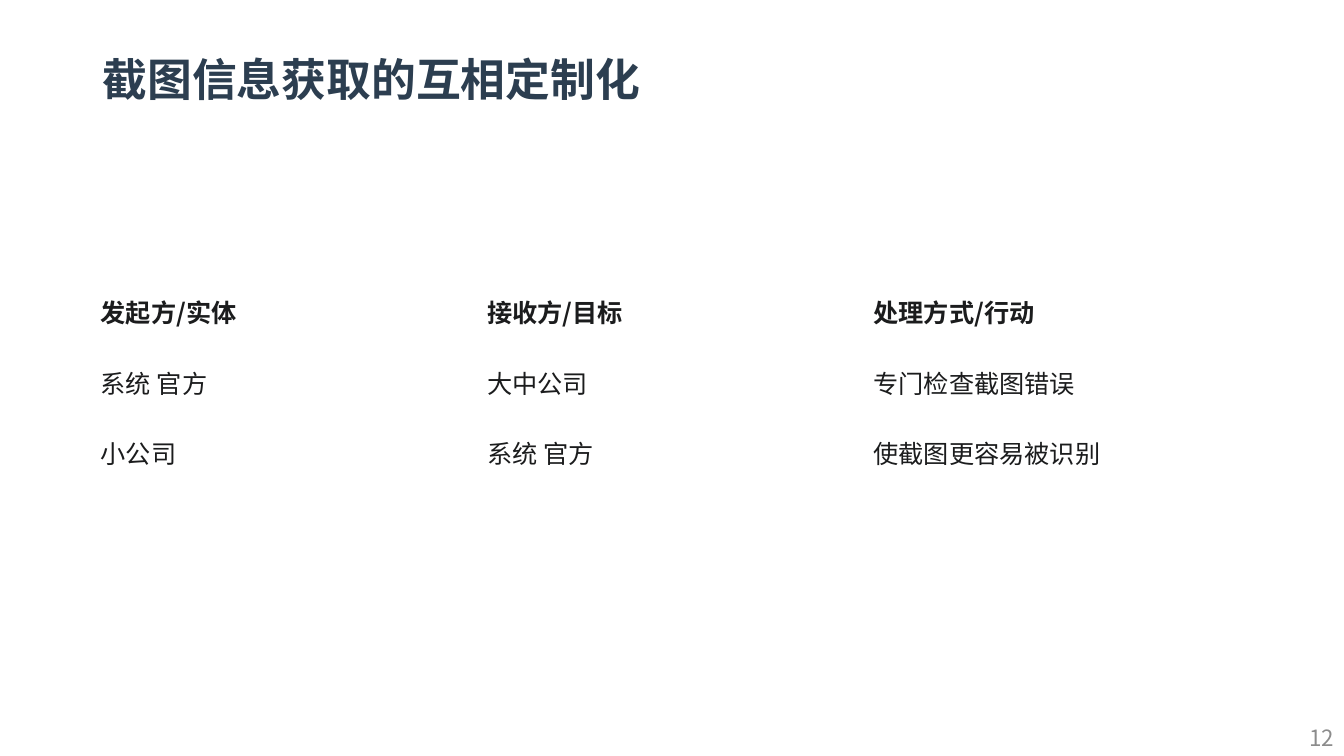
from dataclasses import dataclass

from lxml import etree
from pptx import Presentation
from pptx import util as u
from pptx.dml.color import RGBColor
from pptx.enum import text
from pptx.oxml import ns


@dataclass(frozen=True)
class Theme:
    """Colours, font and type sizes of the slide."""
    font: str = "Noto Sans CJK SC"
    title: str = "2C3E50"
    body: str = "1B1C1D"
    number: str = "8C8C8C"
    border: str = "FFFFFF"
    title_size: int = 32
    body_size: int = 18
    number_size: int = 16


THEME = Theme()
ROWS = [
    ["发起方/实体", "接收方/目标", "处理方式/行动"],
    ["系统 官方", "大中公司", "专门检查截图错误"],
    ["小公司", "系统 官方", "使截图更容易被识别"],
]


def apply(obj, values):
    """Set attributes of an object from a dict."""
    for name, value in values.items():
        setattr(obj, name, value)


def write(tf, words, size, color, bold=False, align=text.PP_ALIGN.LEFT):
    """Write one formatted paragraph into a text frame and return it."""
    p = tf.paragraphs[0]
    p.alignment = align
    r = p.add_run()
    r.text = words
    apply(r.font, {"size": u.Pt(size), "bold": bold, "name": THEME.font})
    r.font.color.rgb = RGBColor.from_string(color)
    ea = etree.SubElement(r.font._element, ns.qn("a:ea"))
    ea.set("typeface", THEME.font)
    return p


def add_title(s, box, words):
    """Place the title placeholder in the given box."""
    sp = s.shapes.title
    apply(sp, dict(zip(("left", "top", "width", "height"), map(u.Pt, box))))
    tf = sp.text_frame
    apply(tf, {"vertical_anchor": text.MSO_ANCHOR.TOP, "word_wrap": True,
               "auto_size": text.MSO_AUTO_SIZE.NONE})
    p = write(tf, words, THEME.title_size, THEME.title, True)
    p.line_spacing = 0.9


def add_number(s, box, words):
    """Place the page number in the given box."""
    tf = s.shapes.add_textbox(*map(u.Pt, box)).text_frame
    apply(tf, {"vertical_anchor": text.MSO_ANCHOR.MIDDLE, "word_wrap": False,
               "auto_size": text.MSO_AUTO_SIZE.SHAPE_TO_FIT_TEXT})
    write(tf, words, THEME.number_size, THEME.number, align=text.PP_ALIGN.RIGHT)


def add_borders(cell):
    """Draw thin lines on all four sides of a cell."""
    tc_pr = cell._tc.get_or_add_tcPr()
    for i, side in enumerate(("lnL", "lnR", "lnT", "lnB")):
        ln = etree.Element(ns.qn(f"a:{side}"), w=str(u.Pt(0.5)))
        fill = etree.SubElement(ln, ns.qn("a:solidFill"))
        etree.SubElement(fill, ns.qn("a:srgbClr"), val=THEME.border)
        tc_pr.insert(i, ln)


def add_grid(s, box, rows):
    """Place a table with equal columns and rows in the given box."""
    table = s.shapes.add_table(len(rows), len(rows[0]), *map(u.Pt, box)).table
    apply(table, {"first_row": True, "horz_banding": False})
    for i, row in enumerate(rows):
        for j, words in enumerate(row):
            cell = table.cell(i, j)
            cell.fill.background()
            add_borders(cell)
            apply(cell, {"vertical_anchor": text.MSO_ANCHOR.MIDDLE,
                         "margin_left": u.Pt(6), "margin_right": u.Pt(6),
                         "margin_top": u.Pt(4.5), "margin_bottom": u.Pt(4.5)})
            write(cell.text_frame, words, THEME.body_size, THEME.body, i == 0)


def main():
    """Build the slide and save it."""
    prs = Presentation()
    apply(prs, {"slide_width": u.Pt(960), "slide_height": u.Pt(540)})
    s = prs.slides.add_slide(prs.slide_layouts[5])
    add_title(s, (66, 38, 885, 55.5), "截图信息获取的互相定制化")
    add_number(s, (926, 513.4, 34, 26.6), "12")
    add_grid(s, (66, 197.5, 828, 151.2), ROWS)
    prs.save("out.pptx")


if __name__ == "__main__":
    main()
